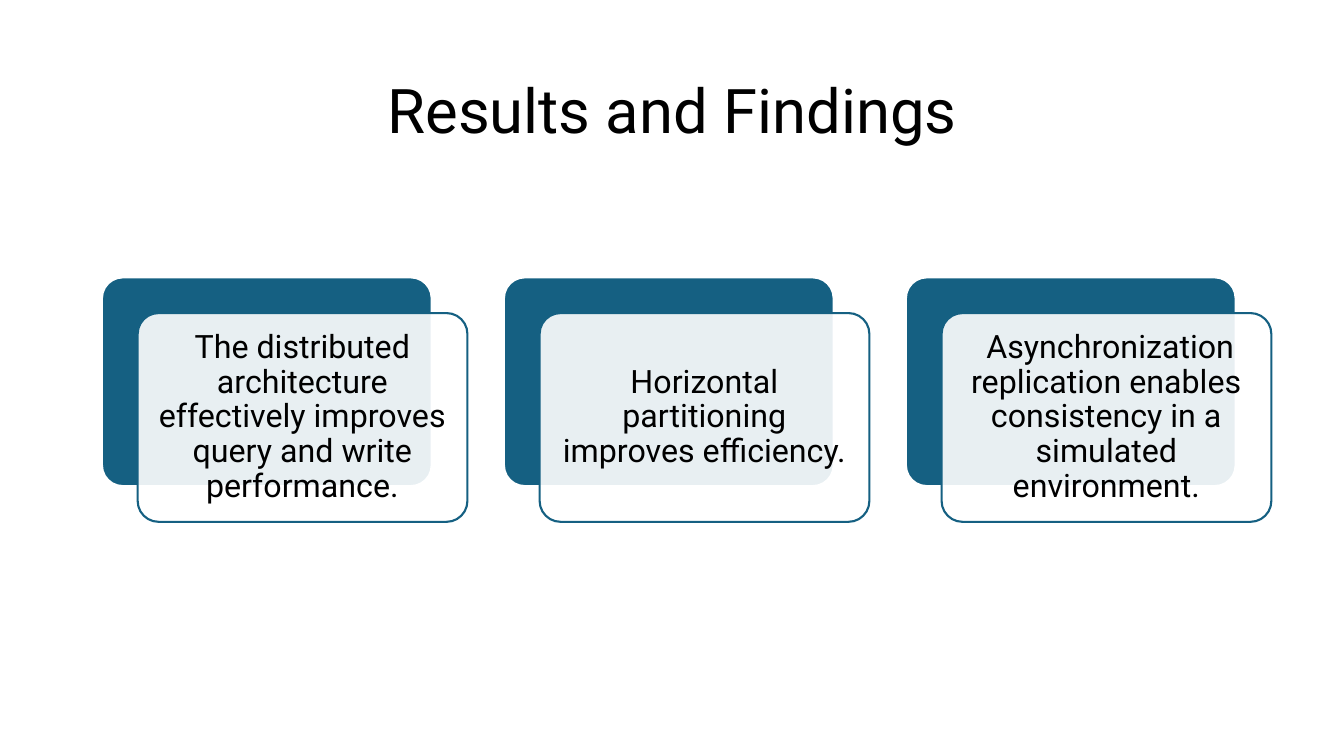
from pptx import Presentation
from pptx.dml.color import RGBColor
from pptx.enum.shapes import MSO_SHAPE as Shape
from pptx.enum.text import MSO_ANCHOR as Anchor, PP_ALIGN as Align
from pptx.oxml.ns import qn
from pptx.util import Cm, Pt
from lxml.etree import SubElement

BLUE, WHITE, BLACK = "156082", "FFFFFF", "000000"

FINDINGS = [
    "The distributed architecture effectively improves query and write performance.",
    "Horizontal partitioning improves efficiency.",
    " Asynchronization replication enables consistency in a simulated environment.",
]


def color(code):
    return RGBColor.from_string(code)


class Painter:
    font = "Roboto"
    inset = Cm(0.25)

    def __init__(self, slide):
        self.shapes = slide.shapes

    def card(self, left, top, width, height, fill, line, alpha=100):
        card = self.shapes.add_shape(
            Shape.ROUNDED_RECTANGLE, Cm(left), Cm(top), Cm(width), Cm(height))
        card.shadow.inherit = False
        card.adjustments[0] = 0.1
        card.fill.solid()
        card.fill.fore_color.rgb = color(fill)
        card.line.color.rgb = color(line)
        card.line.width = Pt(1.5)
        if alpha < 100:
            tint = card.fill._xPr.find(qn("a:solidFill"))[0]
            SubElement(tint, qn("a:alpha")).set("val", str(alpha * 1000))

    def text(self, left, top, width, height, words, size):
        box = self.shapes.add_textbox(Cm(left), Cm(top), Cm(width), Cm(height))
        frame = box.text_frame
        frame.word_wrap = True
        frame.vertical_anchor = Anchor.MIDDLE
        frame.margin_left = frame.margin_right = self.inset
        frame.margin_top = frame.margin_bottom = self.inset
        para = frame.paragraphs[0]
        para.alignment = Align.CENTER
        para.line_spacing = 0.9
        run = para.add_run()
        run.text = words
        run.font.name = self.font
        run.font.size = Pt(size)
        run.font.color.rgb = color(BLACK)


def main():
    deck = Presentation()
    deck.slide_width, deck.slide_height = Cm(33.87), Cm(19.05)
    paint = Painter(deck.slides.add_slide(deck.slide_layouts[6]))

    # Title
    paint.text(2.34, 1.02, 29.21, 3.68, "Results and Findings", 44)

    # Three findings, each a blue card under a pale one
    top, width, height, step = 6.99, 8.31, 5.26, 10.13
    shift, pad = 0.9, 0.16
    for i, words in enumerate(FINDINGS):
        left = 2.57 + i * step
        paint.card(left, top, width, height, BLUE, WHITE)
        left, low = left + shift, top + shift
        paint.card(left, low, width, height, WHITE, BLUE, alpha=90)
        paint.text(left + pad, low + pad, width - 2 * pad, height - 2 * pad, words, 23)

    deck.save("out.pptx")


if __name__ == "__main__":
    main()
